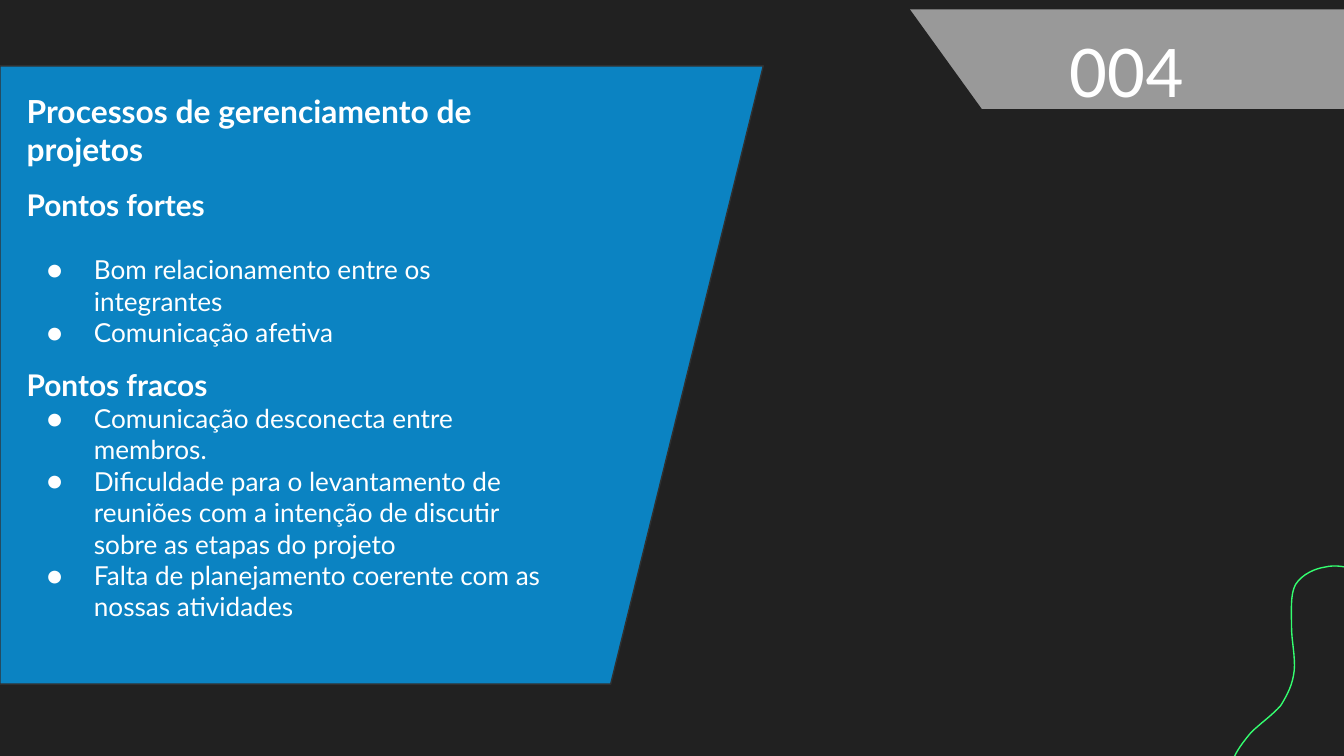
from lxml import etree
from pptx import Presentation
from pptx import util as u
from pptx.dml.color import RGBColor
from pptx.enum import shapes, text
from pptx.oxml.ns import qn

# Content
NUMBER = "004"
REVIEW = [
    ("title", "Processos de gerenciamento de projetos"),
    ("heading", "Pontos fortes"),
    ("first bullet", "Bom relacionamento entre os integrantes"),
    ("bullet", "Comunicação afetiva"),
    ("heading", "Pontos fracos"),
    ("bullet", "Comunicação desconecta entre membros."),
    ("bullet", "Dificuldade para o levantamento de reuniões com a intenção "
               "de discutir sobre as etapas do projeto"),
    ("bullet", "Falta de planejamento coerente com as nossas atividades"),
]

# Format
COLORS = {"back": "212121", "panel": "0B83C2", "edge": "303030",
          "tab": "999999", "text": "FFFFFF", "curve": "34FF70"}
STYLES = {  # size, bold, space before
    "title": (17, True, 6),
    "heading": (16, True, 10),
    "first bullet": (14, False, 17),
    "bullet": (14, False, 0),
}
WIDTH = u.Inches(10)
HEIGHT = WIDTH * 9 // 16
MARGIN = u.Inches(0.1)
FRAME = {"word_wrap": True, "auto_size": text.MSO_AUTO_SIZE.NONE,
         "vertical_anchor": text.MSO_ANCHOR.TOP,
         "margin_left": MARGIN, "margin_right": MARGIN,
         "margin_top": MARGIN, "margin_bottom": MARGIN}

# Curve: a start, then two controls and an end for each stretch
CURVE_START = (10.18, 4.33)
CURVE = [
    ((10.16, 4.31), (10.14, 4.26), (10.09, 4.24)),
    ((10.03, 4.22), (9.93, 4.2), (9.86, 4.22)),
    ((9.79, 4.23), (9.69, 4.27), (9.64, 4.35)),
    ((9.6, 4.42), (9.61, 4.55), (9.61, 4.66)),
    ((9.61, 4.77), (9.64, 4.89), (9.63, 4.99)),
    ((9.62, 5.09), (9.58, 5.17), (9.53, 5.25)),
    ((9.47, 5.32), (9.37, 5.39), (9.31, 5.45)),
    ((9.26, 5.51), (9.22, 5.56), (9.19, 5.62)),
    ((9.16, 5.68), (9.14, 5.76), (9.15, 5.81)),
    ((9.15, 5.87), (9.2, 5.94), (9.21, 5.96)),
]
STEPS = 8


def rgb(name):
    return RGBColor.from_string(COLORS[name])


def paint(shape, fill=None, line=None):
    shape.shadow.inherit = False
    for part, color in ((shape.fill, fill), (shape.line.fill, line)):
        if color:
            part.solid()
            part.fore_color.rgb = rgb(color)
        else:
            part.background()
    if line:
        shape.line.width = u.Pt(0.75)


def add_block(slide, kind, box, fill, line=None):
    block = slide.shapes.add_shape(kind, *map(u.Inches, box))
    paint(block, fill, line)
    return block


def set_frame(frame):
    for name, value in FRAME.items():
        setattr(frame, name, value)


def write(paragraph, words, font, size, bold=False):
    run = paragraph.add_run()
    run.text = words
    for name, value in {"name": font, "size": u.Pt(size), "bold": bold}.items():
        setattr(run.font, name, value)
    run.font.color.rgb = rgb("text")


def add_bullet(paragraph):
    props = paragraph._p.get_or_add_pPr()
    props.set("marL", str(u.Inches(0.5)))
    props.set("indent", str(u.Inches(-0.35)))
    color = etree.SubElement(props, qn("a:buClr"))
    etree.SubElement(color, qn("a:srgbClr"), val=COLORS["text"])
    etree.SubElement(props, qn("a:buFont"), typeface="Lato")
    etree.SubElement(props, qn("a:buChar"), char="●")


def curve_points():
    """Points along the curve, in EMU."""
    start = CURVE_START
    yield tuple(map(u.Inches, start))
    for first, second, end in CURVE:
        for step in range(1, STEPS + 1):
            t = step / STEPS
            s = 1 - t
            yield tuple(
                u.Inches(s**3 * a + 3 * s * s * t * b + 3 * s * t * t * c + t**3 * d)
                for a, b, c, d in zip(start, first, second, end))
        start = end


def main():
    deck = Presentation()
    deck.slide_width, deck.slide_height = WIDTH, HEIGHT
    slide = deck.slides.add_slide(deck.slide_layouts[6])
    slide.background.fill.solid()
    slide.background.fill.fore_color.rgb = rgb("back")
    kinds = shapes.MSO_SHAPE

    # Slanted panel
    panel = add_block(slide, kinds.FLOWCHART_MANUAL_INPUT,
                      (0.54, -0.05, 4.6, 5.68), "panel", "edge")
    panel.rotation = 90
    panel._element.spPr.find(qn("a:xfrm")).set("flipH", "1")

    # Strengths and weaknesses
    review = slide.shapes.add_textbox(
        *map(u.Inches, (0.1, 0.58, 4.08, 4.42))).text_frame
    set_frame(review)
    for index, (role, words) in enumerate(REVIEW):
        paragraph = review.add_paragraph() if index else review.paragraphs[0]
        size, bold, before = STYLES[role]
        paragraph.space_before = u.Pt(before)
        write(paragraph, words, "Lato", size, bold)
        if "bullet" in role:
            add_bullet(paragraph)

    # Number tab with its cut corner
    tab = add_block(slide, kinds.RECTANGLE, (6.76, 0.07, 3.24, 0.74), "tab")
    set_frame(tab.text_frame)
    number = tab.text_frame.paragraphs[0]
    number.alignment = text.PP_ALIGN.CENTER
    write(number, NUMBER, "Calibri", 40)
    add_block(slide, kinds.RIGHT_TRIANGLE, (6.72, 0, 0.83, 1.15), "back")

    # Corner curve
    start, *rest = curve_points()
    builder = slide.shapes.build_freeform(*start)
    builder.add_line_segments(rest, close=False)
    paint(builder.convert_to_shape(), line="curve")

    deck.save("out.pptx")


if __name__ == "__main__":
    main()
